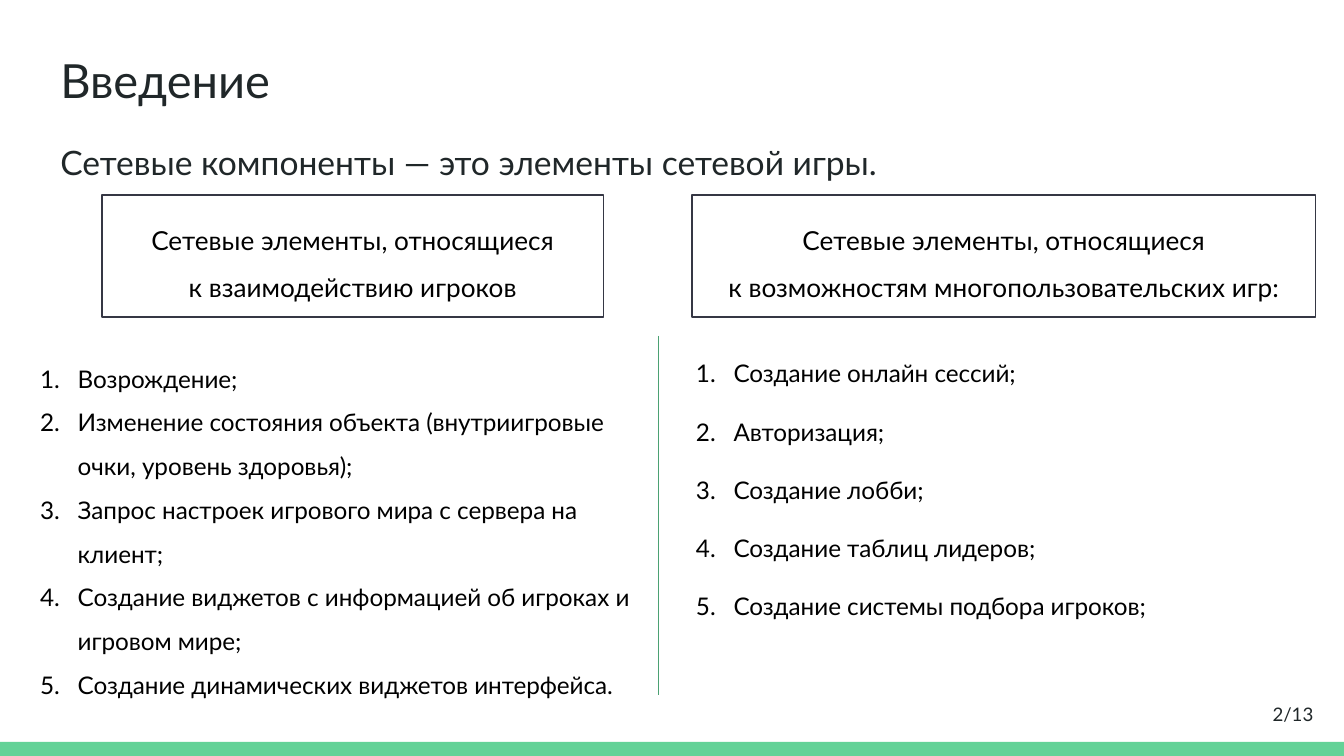
"""Build the introduction slide with two numbered columns."""
from lxml.etree import SubElement
from pptx import Presentation
from pptx.dml.color import RGBColor
from pptx.enum.shapes import MSO_CONNECTOR, MSO_SHAPE
from pptx.enum.text import MSO_ANCHOR, PP_ALIGN
from pptx.oxml.ns import qn
from pptx.util import Inches, Pt

THEME = {
    "font": "Lato",
    "dark": RGBColor.from_string("202729"),
    "black": RGBColor.from_string("000000"),
    "border": RGBColor.from_string("353744"),
    "divider": RGBColor.from_string("4BA173"),
    "footer": RGBColor.from_string("63D297"),
    "title": 25.2,
    "subtitle": 18,
    "heading": 14,
    "list": 13,
    "number": 10,
    "line": Pt(0.75),
}

TEXTS = [
    {"lines": ["Введение"], "box": (0.35, 0.28, 9.32, 0.63), "size": "title",
     "format": {}, "anchor": MSO_ANCHOR.TOP},
    {"lines": ["Сетевые компоненты — это элементы сетевой игры."],
     "box": (0.35, 0.91, 9.32, 0.62), "size": "subtitle",
     "format": {"line_spacing": 1.15, "space_after": Pt(12)}, "anchor": MSO_ANCHOR.TOP},
    {"lines": ["2/13"], "box": (9.27, 5.1, 0.6, 0.43), "size": "number",
     "format": {"alignment": PP_ALIGN.RIGHT}, "anchor": MSO_ANCHOR.MIDDLE},
]

COLUMNS = [
    {
        "heading": ["Сетевые элементы, относящиеся", "к взаимодействию игроков"],
        "heading_box": (0.76, 1.45, 3.73, 0.91),
        "items": [
            "Возрождение;",
            "Изменение состояния объекта (внутриигровые очки, уровень здоровья);",
            "Запрос настроек игрового мира с сервера на клиент;",
            "Создание виджетов с информацией об игроках и игровом мире;",
            "Создание динамических виджетов интерфейса.",
        ],
        "list_box": (0.13, 2.5, 4.77, 2.83),
        "spacing": 1.5,
    },
    {
        "heading": ["Сетевые элементы, относящиеся", "к возможностям многопользовательских игр:"],
        "heading_box": (5.15, 1.45, 4.64, 0.91),
        "items": [
            "Создание онлайн сессий;",
            "Авторизация;",
            "Создание лобби;",
            "Создание таблиц лидеров;",
            "Создание системы подбора игроков;",
        ],
        "list_box": (5.01, 2.35, 4.37, 2.39),
        "spacing": 2.0,
    },
]

SLIDE_WIDTH = Inches(10)
SLIDE_HEIGHT = SLIDE_WIDTH * 9 // 16
FOOTER = (0, 5.52, 10, 0.11)
DIVIDER = (4.9, 2.5, 4.9, 5.17)


def inches(values):
    return [Inches(value) for value in values]


def apply(target, values):
    for name, value in values.items():
        setattr(target, name, value)


def number_paragraph(paragraph):
    properties = paragraph._p.get_or_add_pPr()
    properties.set("marL", str(Inches(0.35)))
    properties.set("indent", str(Inches(-0.28)))
    color = SubElement(properties, qn("a:buClr"))
    SubElement(color, qn("a:srgbClr"), val=str(THEME["black"]))
    SubElement(properties, qn("a:buFont"), typeface=THEME["font"])
    SubElement(properties, qn("a:buAutoNum"), type="arabicPeriod")


def write(shape, lines, size, color, layout, anchor=MSO_ANCHOR.TOP, numbered=False):
    frame = shape.text_frame
    margins = ("margin_left", "margin_top", "margin_right", "margin_bottom")
    apply(frame, {"word_wrap": True, "vertical_anchor": anchor,
                  **dict.fromkeys(margins, Inches(0.1))})
    for index, line in enumerate(lines):
        paragraph = frame.add_paragraph() if index else frame.paragraphs[0]
        if numbered:
            number_paragraph(paragraph)
        apply(paragraph, layout)
        run = paragraph.add_run()
        run.text = line
        apply(run.font, {"name": THEME["font"], "size": Pt(THEME[size])})
        run.font.color.rgb = THEME[color]


def add_rectangle(slide, box):
    shape = slide.shapes.add_shape(MSO_SHAPE.RECTANGLE, *inches(box))
    shape.shadow.inherit = False
    return shape


def add_footer(slide):
    strip = add_rectangle(slide, FOOTER)
    strip.fill.solid()
    strip.fill.fore_color.rgb = THEME["footer"]
    strip.line.fill.background()


def add_column(slide, column):
    heading = add_rectangle(slide, column["heading_box"])
    heading.fill.background()
    heading.line.color.rgb = THEME["border"]
    heading.line.width = THEME["line"]
    write(heading, column["heading"], "heading", "black",
          {"alignment": PP_ALIGN.CENTER, "line_spacing": 1.5})
    items = slide.shapes.add_textbox(*inches(column["list_box"]))
    write(items, column["items"], "list", "black",
          {"line_spacing": column["spacing"]}, numbered=True)


def add_divider(slide):
    divider = slide.shapes.add_connector(MSO_CONNECTOR.STRAIGHT, *inches(DIVIDER))
    divider.line.color.rgb = THEME["divider"]
    divider.line.width = THEME["line"]
    SubElement(divider._element.spPr, qn("a:effectLst"))


def main():
    presentation = Presentation()
    apply(presentation, {"slide_width": SLIDE_WIDTH, "slide_height": SLIDE_HEIGHT})
    slide = presentation.slides.add_slide(presentation.slide_layouts[6])
    add_footer(slide)
    for text in TEXTS:
        box = slide.shapes.add_textbox(*inches(text["box"]))
        write(box, text["lines"], text["size"], "dark", text["format"], text["anchor"])
    for column in COLUMNS:
        add_column(slide, column)
    add_divider(slide)
    presentation.save("out.pptx")


if __name__ == "__main__":
    main()
